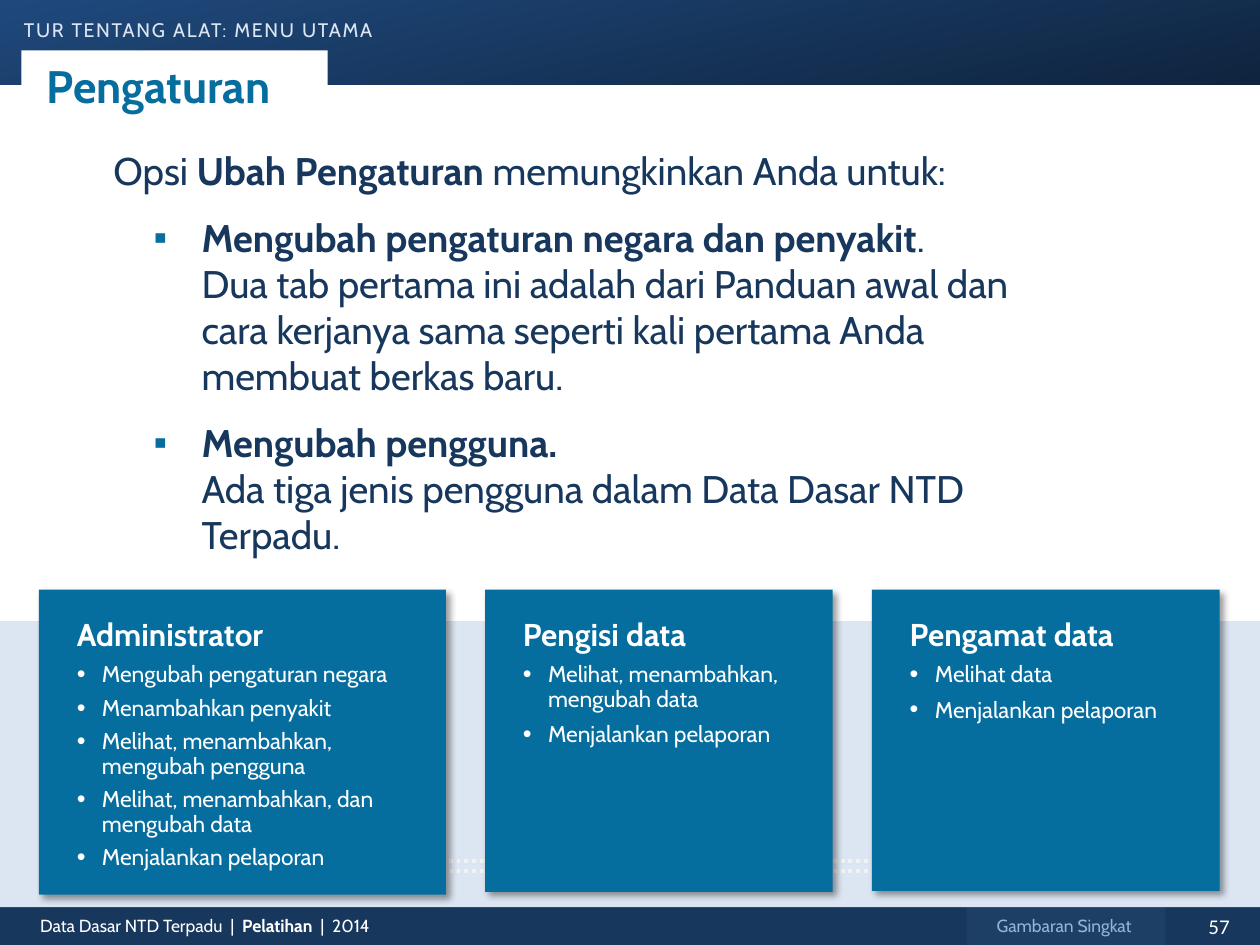
from dataclasses import dataclass

from lxml import etree
from pptx import Presentation
from pptx.dml.color import RGBColor
from pptx.enum.dml import MSO_LINE
from pptx.enum.shapes import MSO_CONNECTOR, MSO_SHAPE
from pptx.enum.text import MSO_ANCHOR, MSO_AUTO_SIZE, PP_ALIGN
from pptx.oxml.ns import qn
from pptx.util import Inches, Pt

RECT, STRAIGHT = MSO_SHAPE.RECTANGLE, MSO_CONNECTOR.STRAIGHT
DOT, TOP, MIDDLE = MSO_LINE.ROUND_DOT, MSO_ANCHOR.TOP, MSO_ANCHOR.MIDDLE
LEFT, CENTER = PP_ALIGN.LEFT, PP_ALIGN.CENTER
FIXED, GROW = MSO_AUTO_SIZE.NONE, MSO_AUTO_SIZE.SHAPE_TO_FIT_TEXT
COLORS = {
    "white": "FFFFFF", "blue": "066E9F", "navy": "17375D", "pale": "DCE6F2",
    "royal": "1F497D", "night": "0F243E", "tab": "1E3F65", "mist": "95B3D7",
    "dots": "F2F2F2", "black": "000000",
}


@dataclass
class Style:
    size: float
    color: str
    name: str = "Cabin"


@dataclass
class Bullet:
    char: str
    color: str = ""
    scale: int = 100


@dataclass
class Card:
    title: str
    items: list[str]
    width: float
    height: float
    after: float
    last: float


CARDS = [
    Card("Administrator",
         ["Mengubah pengaturan negara", "Menambahkan penyakit",
          "Melihat, menambahkan,\nmengubah pengguna",
          "Melihat, menambahkan, dan mengubah data", "Menjalankan pelaporan"],
         3.23, 2.42, 5, 3),
    Card("Pengisi data",
         ["Melihat, menambahkan, mengubah data", "Menjalankan pelaporan"],
         2.76, 2.4, 6, 0),
    Card("Pengamat data", ["Melihat data", "Menjalankan pelaporan"],
         2.76, 2.39, 6, 0),
]


def rgb(key: str) -> RGBColor:
    return RGBColor.from_string(COLORS[key])


def child(node, tag: str, **attrs):
    return etree.SubElement(node, qn(tag), attrs)


def apply(target, values: dict) -> None:
    for key, value in values.items():
        setattr(target, key, value)


def place(shape, left: float, top: float, width: float, height: float) -> None:
    box = {"left": left, "top": top, "width": width, "height": height}
    apply(shape, {key: Inches(value) for key, value in box.items()})


def setup(shape, insets=(0.1, 0.05, 0.1, 0.05), **values):
    """Set the insets and the other frame values, and return the frame."""
    frame = shape.text_frame
    names = ("margin_left", "margin_top", "margin_right", "margin_bottom")
    apply(frame, {key: Inches(size) for key, size in zip(names, insets)})
    apply(frame, {"word_wrap": True, "auto_size": FIXED, "vertical_anchor": TOP} | values)
    return frame


def write(para, parts: list[tuple[str, bool]], style: Style, **values) -> None:
    """Fill a paragraph with (text, bold) parts; a newline is a line break."""
    apply(para, {"alignment": LEFT} | values)
    for text, bold in parts:
        for row, piece in enumerate(text.split("\n")):
            if row:
                para.add_line_break()
            if piece:
                run = para.add_run()
                run.text = piece
                apply(run.font, {"name": style.name, "size": Pt(style.size), "bold": bold})
                run.font.color.rgb = rgb(style.color)


def indent(para, margin: float, hang: float, bullet: Bullet | None = None) -> None:
    props = para._p.get_or_add_pPr()
    props.set("marL", str(Inches(margin)))
    props.set("indent", str(Inches(hang)))
    if bullet is None:
        child(props, "a:buNone")
        return
    if bullet.color:
        child(child(props, "a:buClr"), "a:srgbClr", val=COLORS[bullet.color])
    child(props, "a:buSzPct", val=str(bullet.scale * 1000))
    child(props, "a:buFont", typeface="Arial")
    child(props, "a:buChar", char=bullet.char)


def block(slide, box: tuple, color: str):
    shape = slide.shapes.add_shape(RECT, *map(Inches, box))
    shape.shadow.inherit = False
    shape.fill.solid()
    shape.fill.fore_color.rgb = rgb(color)
    shape.line.fill.background()
    return shape


def label(slide, box: tuple, parts: list, style: Style, align=LEFT) -> None:
    frame = setup(slide.shapes.add_textbox(*map(Inches, box)))
    write(frame.paragraphs[0], parts, style, alignment=align)


def dots(slide, top: float) -> None:
    line = slide.shapes.add_connector(
        STRAIGHT, Inches(0.7), Inches(top), Inches(8.95), Inches(top))
    apply(line.line, {"width": Pt(2.25), "dash_style": DOT})
    line.line.color.rgb = rgb("dots")
    child(line.element.spPr, "a:effectLst")


def draw(slide, card: Card, left: float) -> None:
    shape = block(slide, (left, 4.68, card.width, card.height), "blue")
    effects = shape.element.spPr.find(qn("a:effectLst"))
    shade = child(effects, "a:outerShdw", blurRad=str(Pt(4)), dist=str(Pt(3)),
                  dir=str(45 * 60000), algn="tl", rotWithShape="0")
    child(child(shade, "a:srgbClr", val=COLORS["black"]), "a:alpha", val="40000")
    frame = setup(shape, (0.3, 0.2, 0.2, 0))
    write(frame.paragraphs[0], [(card.title, True)], Style(18, "white"), space_after=Pt(6))
    for spot, item in enumerate(card.items, 1):
        after = card.last if spot == len(card.items) else card.after
        para = frame.add_paragraph()
        write(para, [(item, False)], Style(13, "white"),
              line_spacing=0.9, space_after=Pt(after))
        indent(para, 0.2, -0.2, Bullet("•", scale=110))


def main() -> None:
    deck = Presentation()
    apply(deck, {"slide_width": Inches(10), "slide_height": Inches(7.5)})
    slide = deck.slides.add_slide(deck.slide_layouts[3])
    title, body, crumb = slide.placeholders

    # Header and footer bars
    head = block(slide, (0, 0, 10.01, 0.67), "royal")
    head.fill.gradient()
    head.fill.gradient_angle = 282
    for stop, color, spot in zip(head.fill.gradient_stops, ("royal", "night"), (0, 1)):
        stop.color.rgb = rgb(color)
        stop.position = spot
    block(slide, (0, 7.2, 10.01, 0.32), "navy")
    label(slide, (9.35, 7.2, 0.65, 0.3), [("57", False)], Style(12, "white", "Calibri"), CENTER)
    label(slide, (0.22, 7.21, 4.53, 0.27),
          [("Data Dasar NTD Terpadu  |  ", False), ("Pelatihan  ", True), ("|  2014", False)],
          Style(10, "white"))
    block(slide, (7.67, 7.2, 1.58, 0.31), "tab")
    label(slide, (7.67, 7.21, 1.55, 0.27), [("Gambaran Singkat", False)],
          Style(10, "mist"), CENTER)

    # Placeholders go in front of the bars
    for holder in (body, crumb, title):
        slide.shapes.element.append(holder.element)

    # Main list
    place(body, 0.8, 1.12, 7.51, 3.66)
    frame = setup(body)
    text = Style(22, "navy")
    intro = frame.paragraphs[0]
    write(intro, [("Opsi ", False), ("Ubah Pengaturan ", True),
                  ("memungkinkan Anda untuk:", False)], text, space_after=Pt(6))
    indent(intro, 0.38, -0.38)
    points = [
        ("Mengubah pengaturan negara dan penyakit",
         ".\nDua tab pertama ini adalah dari Panduan awal dan cara kerjanya "
         "sama seperti kali pertama Anda membuat berkas baru.", 6),
        ("Mengubah pengguna.",
         "\nAda tiga jenis pengguna dalam Data Dasar NTD Terpadu.", 0),
    ]
    for lead, rest, after in points:
        para = frame.add_paragraph()
        write(para, [(lead, True), (rest, False)], text, space_after=Pt(after))
        indent(para, 0.7, -0.38, Bullet("▪", "blue"))

    # Section line and title tab
    place(crumb, 0.19, 0.05, 2.79, 0.62)
    para = setup(crumb, (0, 0.05, 0, 0.05), word_wrap=False, auto_size=GROW).paragraphs[0]
    write(para, [("tur tentang alat: menu utama", False)], Style(14, "pale"))
    indent(para, 0, 0)
    props = para.runs[0]._r.get_or_add_rPr()
    props.set("cap", "small")
    props.set("spc", "100")
    place(title, 0.17, 0.4, 2.43, 0.56)
    title.fill.solid()
    title.fill.fore_color.rgb = rgb("white")
    frame = setup(title, (0.2, 0.05, 0.2, 0.05), vertical_anchor=MIDDLE)
    write(frame.paragraphs[0], [("Pengaturan", True)], Style(26, "blue"))

    # User cards on a pale band
    block(slide, (0, 4.93, 10, 2.27), "pale")
    for top in (6.91, 6.83):
        dots(slide, top)
    gap = left = 0.31
    for card in CARDS:
        draw(slide, card, left)
        left += card.width + gap

    deck.save("out.pptx")


if __name__ == "__main__":
    main()
